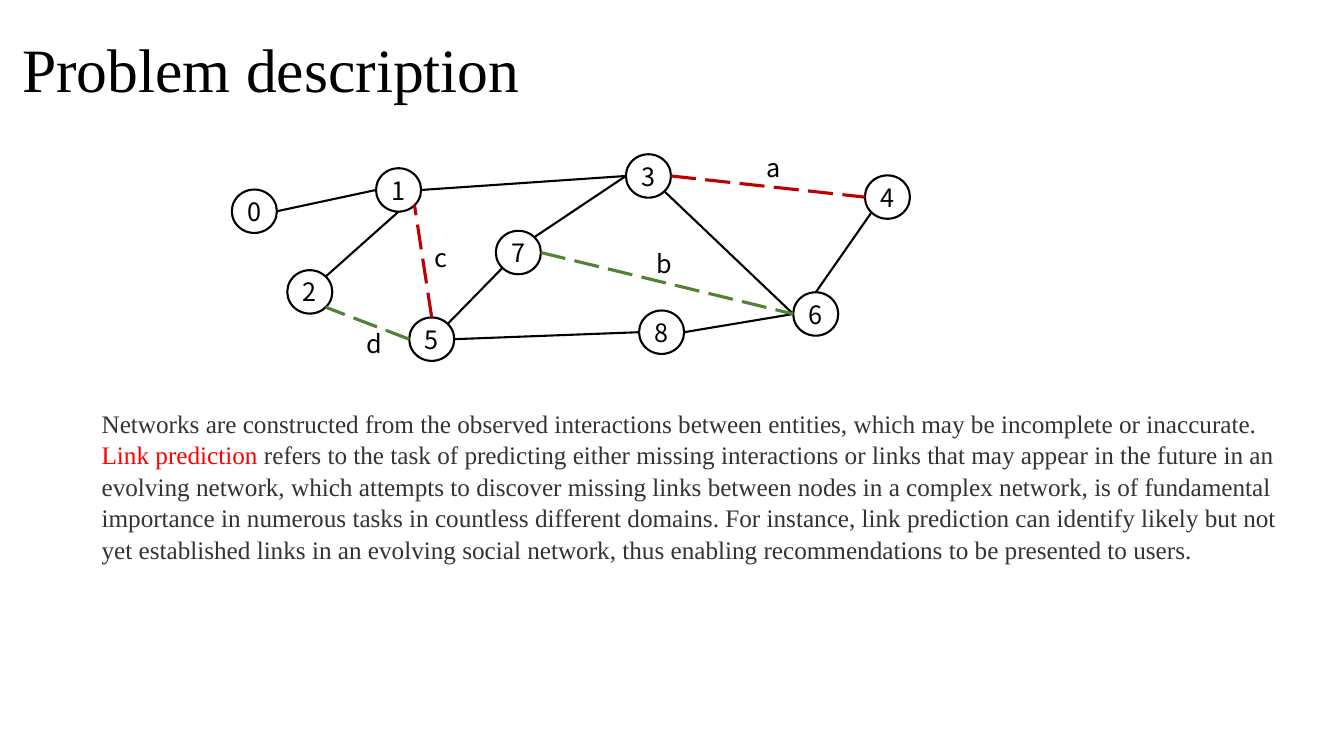
from dataclasses import dataclass
from enum import Enum
from math import sqrt

from lxml.etree import SubElement
from pptx import Presentation
from pptx.dml.color import RGBColor
from pptx.enum.dml import MSO_LINE
from pptx.enum.shapes import MSO_CONNECTOR, MSO_SHAPE
from pptx.enum.text import MSO_ANCHOR, MSO_AUTO_SIZE, PP_ALIGN
from pptx.oxml.ns import qn
from pptx.slide import Slide
from pptx.text.text import TextFrame
from pptx.util import Pt

BLACK = RGBColor(0x00, 0x00, 0x00)
GRAY = RGBColor(0x33, 0x33, 0x33)
RED = RGBColor(0xFF, 0x00, 0x00)
DARK_RED = RGBColor(0xC0, 0x00, 0x00)
GREEN = RGBColor(0x54, 0x82, 0x35)
SERIF = "Times New Roman"
SANS = "Noto Sans CJK SC"
NODE_WIDTH, NODE_HEIGHT = 32.2, 31
LABEL_WIDTH, LABEL_HEIGHT = 26.6, 29
DIAGONAL = 1 / sqrt(2)


class Side(Enum):
    """Attachment point on a node, as fractions of its radii."""
    TOP = (0, -1)
    BOTTOM = (0, 1)
    LEFT = (-1, 0)
    RIGHT = (1, 0)
    TOP_LEFT = (-DIAGONAL, -DIAGONAL)
    TOP_RIGHT = (DIAGONAL, -DIAGONAL)
    BOTTOM_LEFT = (-DIAGONAL, DIAGONAL)
    BOTTOM_RIGHT = (DIAGONAL, DIAGONAL)


@dataclass(frozen=True)
class Node:
    name: str
    left: float
    top: float

    def point(self, side: Side) -> tuple[Pt, Pt]:
        across, down = side.value
        return (Pt(self.left + NODE_WIDTH / 2 * (1 + across)),
                Pt(self.top + NODE_HEIGHT / 2 * (1 + down)))


@dataclass(frozen=True)
class Edge:
    start: str
    start_side: Side
    end: str
    end_side: Side
    predicted: RGBColor | None = None


@dataclass(frozen=True)
class Label:
    text: str
    left: float
    top: float


@dataclass(frozen=True)
class Span:
    text: str
    color: RGBColor


NODES = [
    Node("0", 165.6, 135.4), Node("1", 268.6, 120.2), Node("2", 205.2, 193),
    Node("3", 447.1, 110.2), Node("7", 354.2, 164.9), Node("8", 456.5, 221.8),
    Node("4", 617.8, 125.3), Node("6", 566.6, 208.8), Node("5", 292.3, 226.8),
]
EDGES = [
    Edge("0", Side.RIGHT, "1", Side.LEFT),
    Edge("2", Side.TOP_RIGHT, "1", Side.BOTTOM),
    Edge("7", Side.TOP_RIGHT, "3", Side.LEFT),
    Edge("3", Side.RIGHT, "4", Side.LEFT, DARK_RED),
    Edge("5", Side.TOP_RIGHT, "7", Side.BOTTOM_LEFT),
    Edge("6", Side.TOP, "4", Side.BOTTOM_LEFT),
    Edge("5", Side.TOP, "1", Side.BOTTOM_RIGHT, DARK_RED),
    Edge("8", Side.LEFT, "5", Side.RIGHT),
    Edge("3", Side.BOTTOM_RIGHT, "6", Side.LEFT),
    Edge("8", Side.RIGHT, "6", Side.LEFT),
    Edge("7", Side.RIGHT, "6", Side.LEFT, GREEN),
    Edge("1", Side.RIGHT, "3", Side.LEFT),
    Edge("5", Side.LEFT, "2", Side.BOTTOM_RIGHT, GREEN),
]
LABELS = [
    Label("a", 540.7, 105.1), Label("b", 462.2, 173.5),
    Label("c", 303.1, 169.2), Label("d", 254.9, 231.1),
]
DESCRIPTION = [
    Span("Networks are constructed from the observed interactions between entities, "
         "which may be incomplete or inaccurate. ", GRAY),
    Span("Link prediction ", RED),
    Span("refers to the task of predicting either missing interactions or links that "
         "may appear in the future in an evolving network, which attempts to discover "
         "missing links between nodes in a complex network, is of fundamental "
         "importance in numerous tasks in countless different domains. For instance, "
         "link prediction can identify likely but not yet established links in an "
         "evolving social network, thus enabling recommendations to be presented to "
         "users.", GRAY),
]


def set_values(target: object, values: dict) -> None:
    for name, value in values.items():
        setattr(target, name, value)


def write(frame: TextFrame, spans: list[Span], font: str, size: float,
          frame_format: dict, para_format: dict) -> None:
    set_values(frame, {"word_wrap": True, **frame_format})
    para = frame.paragraphs[0]
    set_values(para, para_format)
    for span in spans:
        run = para.add_run()
        run.text = span.text
        set_values(run.font, {"name": font, "size": Pt(size)})
        run.font.color.rgb = span.color


def add_title(page: Slide) -> None:
    title = page.shapes.title
    set_values(title, {"left": Pt(8.6), "top": Pt(7.2),
                       "width": Pt(720), "height": Pt(72)})
    write(title.text_frame, [Span("Problem description", BLACK)], SERIF, 44,
          {"vertical_anchor": MSO_ANCHOR.BOTTOM, "auto_size": MSO_AUTO_SIZE.NONE},
          {"alignment": PP_ALIGN.LEFT, "line_spacing": 0.9})


def add_node(page: Slide, node: Node) -> None:
    circle = page.shapes.add_shape(MSO_SHAPE.FLOWCHART_CONNECTOR, Pt(node.left),
                                   Pt(node.top), Pt(NODE_WIDTH), Pt(NODE_HEIGHT))
    circle.shadow.inherit = False
    circle.fill.background()
    circle.line.color.rgb = BLACK
    circle.line.width = Pt(1.5)
    margins = {f"margin_{side}": Pt(0) for side in ("left", "top", "right", "bottom")}
    write(circle.text_frame, [Span(node.name, BLACK)], SANS, 18,
          {"vertical_anchor": MSO_ANCHOR.MIDDLE, **margins},
          {"alignment": PP_ALIGN.CENTER})


def add_edge(page: Slide, edge: Edge, nodes: dict[str, Node]) -> None:
    line = page.shapes.add_connector(MSO_CONNECTOR.STRAIGHT,
                                     *nodes[edge.start].point(edge.start_side),
                                     *nodes[edge.end].point(edge.end_side))
    line.line.color.rgb = edge.predicted or BLACK
    line.line.width = Pt(2.25 if edge.predicted else 1.5)
    if edge.predicted:
        line.line.dash_style = MSO_LINE.LONG_DASH
    SubElement(line._element.spPr, qn("a:effectLst"))


def add_label(page: Slide, label: Label) -> None:
    box = page.shapes.add_textbox(Pt(label.left), Pt(label.top),
                                  Pt(LABEL_WIDTH), Pt(LABEL_HEIGHT))
    write(box.text_frame, [Span(label.text, BLACK)], SANS, 18, {}, {})


def add_description(page: Slide) -> None:
    box = page.shapes.add_textbox(Pt(65.5), Pt(287.3), Pt(864.7), Pt(116.6))
    write(box.text_frame, DESCRIPTION, SERIF, 18, {}, {"line_spacing": 1.04})


def main() -> None:
    deck = Presentation()
    set_values(deck, {"slide_width": Pt(960), "slide_height": Pt(540)})
    page = deck.slides.add_slide(deck.slide_layouts.get_by_name("Title Only"))
    add_title(page)
    for node in NODES:
        add_node(page, node)
    nodes = {node.name: node for node in NODES}
    for edge in EDGES:
        add_edge(page, edge, nodes)
    for label in LABELS:
        add_label(page, label)
    add_description(page)
    deck.save("out.pptx")


if __name__ == "__main__":
    main()
